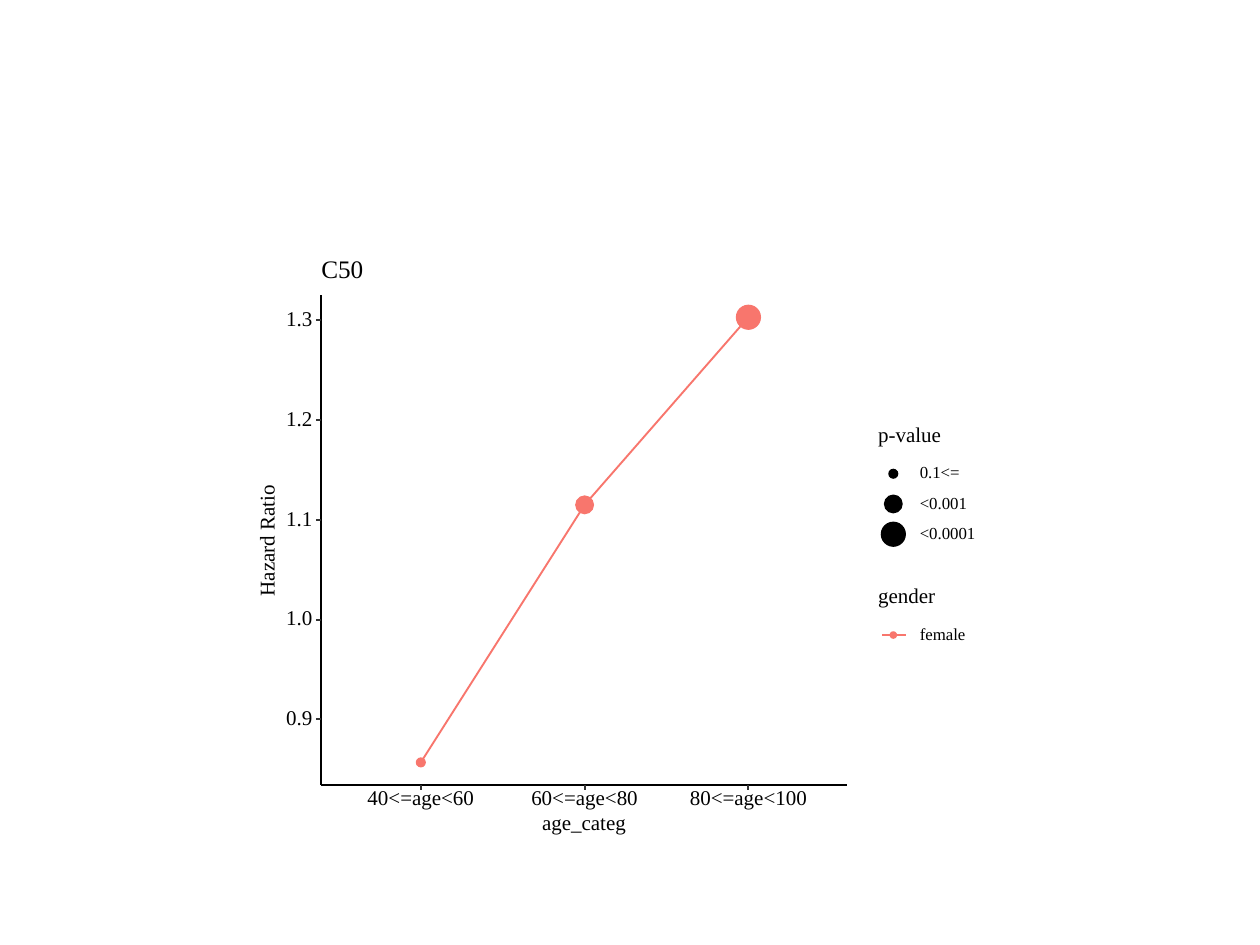
from lxml.etree import SubElement
from pptx import Presentation
from pptx.dml.color import RGBColor
from pptx.enum.shapes import MSO_CONNECTOR, MSO_SHAPE
from pptx.enum.text import MSO_ANCHOR, PP_ALIGN
from pptx.oxml.ns import qn
from pptx.util import Inches, Pt

FONT = "Times New Roman"
BLACK, WHITE, TICK, CORAL = "000000", "FFFFFF", "333333", "F8766D"
LEFT, RIGHT, TOP, BOTTOM = 2.55, 6.72, 2.34, 6.23  # plot area, in grid cells
FIRST_X, STEP_X = 3.34, 1.3
TICK_LEN = 0.04
# age category, label width, hazard ratio, dot size
POINTS = [
    ("40<=age<60", 0.87, 0.857, 0.07),
    ("60<=age<80", 0.87, 1.115, 0.14),
    ("80<=age<100", 0.95, 1.303, 0.19),
]
RATIOS = [0.9, 1.0, 1.1, 1.2, 1.3]
P_VALUES = [("0.1<=", 0.34), ("<0.001", 0.4), ("<0.0001", 0.47)]
KEY_X, KEY_LABEL_X, LEGEND_X = 7.09, 7.3, 6.97
KEY_Y, KEY_STEP = 3.76, 0.24
GENDER_Y = 5.04


def cells(n):
    """Length of n grid cells; the slide is 10 cells wide and 7.5 high."""
    return Inches(round(n, 3))


def rgb(value):
    return RGBColor.from_string(value)


def ratio_y(ratio):
    """Vertical place of a hazard ratio on the value axis."""
    return 5.71 - (ratio - 0.9) * 7.92


def add_text(s, text, x, cy, w, size=12, align=PP_ALIGN.LEFT, rotation=0):
    """Put one line of text with its left edge at x and its middle at cy."""
    h = 0.14
    sp = s.shapes.add_textbox(cells(x), cells(cy - h / 2), cells(w), cells(h))
    sp.rotation = rotation
    tf = sp.text_frame
    tf.word_wrap = False
    tf.vertical_anchor = MSO_ANCHOR.MIDDLE
    tf.margin_left = tf.margin_right = tf.margin_top = tf.margin_bottom = 0
    p = tf.paragraphs[0]
    p.alignment = align
    p.line_spacing = Pt(size)
    r = p.add_run()
    r.text = text
    r.font.name = FONT
    r.font.size = Pt(size)
    r.font.color.rgb = rgb(BLACK)


def add_line(s, x1, y1, x2, y2, color, width=1.07):
    sp = s.shapes.add_connector(
        MSO_CONNECTOR.STRAIGHT, cells(x1), cells(y1), cells(x2), cells(y2))
    sp.line.color.rgb = rgb(color)
    sp.line.width = Pt(width)
    SubElement(sp._element.spPr, qn("a:effectLst"))


def add_filled(s, kind, x, y, w, h, color, line_width=0):
    sp = s.shapes.add_shape(kind, cells(x), cells(y), cells(w), cells(h))
    sp.shadow.inherit = False
    sp.fill.solid()
    sp.fill.fore_color.rgb = rgb(color)
    if line_width:
        sp.line.color.rgb = rgb(color)
        sp.line.width = Pt(line_width)
    else:
        sp.line.fill.background()


def add_panel(s, x, y, w, h, line_width=0):
    add_filled(s, MSO_SHAPE.RECTANGLE, x, y, w, h, WHITE, line_width)


def add_dot(s, cx, cy, size, color):
    add_filled(s, MSO_SHAPE.OVAL, cx - size / 2, cy - size / 2,
               size, size, color, 0.71)


def add_series(s):
    places = [(FIRST_X + i * STEP_X, ratio_y(ratio))
              for i, (_, _, ratio, _) in enumerate(POINTS)]
    start, *rest = [(cells(x), cells(y)) for x, y in places]
    builder = s.shapes.build_freeform(*start)
    builder.add_line_segments(rest, close=False)
    sp = builder.convert_to_shape()
    sp.shadow.inherit = False
    sp.fill.background()
    sp.line.color.rgb = rgb(CORAL)
    sp.line.width = Pt(1.07)
    for (x, y), (*_, size) in zip(places, POINTS):
        add_dot(s, x, y, size, CORAL)


def add_value_axis(s):
    add_line(s, LEFT, BOTTOM, LEFT, TOP, BLACK)
    for ratio in RATIOS:
        y = ratio_y(ratio)
        add_text(s, f"{ratio:.1f}", 2.25, y, 0.23, align=PP_ALIGN.RIGHT)
        add_line(s, LEFT - TICK_LEN, y, LEFT, y, TICK, 1.16)
    add_text(s, "Hazard Ratio", 1.65, 4.29, 0.96,
             align=PP_ALIGN.CENTER, rotation=270)


def add_category_axis(s):
    add_line(s, LEFT, BOTTOM, RIGHT, BOTTOM, BLACK)
    for i, (label, w, _, _) in enumerate(POINTS):
        x = FIRST_X + i * STEP_X
        add_line(s, x, BOTTOM + TICK_LEN, x, BOTTOM, TICK, 1.16)
        add_text(s, label, x - w / 2, 6.34, w, align=PP_ALIGN.CENTER)
    w = 0.69
    add_text(s, "age_categ", (LEFT + RIGHT - w) / 2, 6.54, w,
             align=PP_ALIGN.CENTER)


def add_p_value_legend(s):
    add_panel(s, 6.89, 3.33, 0.93, 1.12)
    add_text(s, "p-value", LEGEND_X, 3.46, 0.52)
    for i, ((label, w), (*_, size)) in enumerate(zip(P_VALUES, POINTS)):
        y = KEY_Y + i * KEY_STEP
        add_dot(s, KEY_X, y, size, BLACK)
        add_text(s, label, KEY_LABEL_X, y, w, size=9.6)


def add_gender_legend(s):
    add_panel(s, 6.89, 4.61, 0.85, 0.64)
    add_text(s, "gender", LEGEND_X, 4.74, 0.49)
    add_line(s, KEY_X - 0.09, GENDER_Y, KEY_X + 0.1, GENDER_Y, CORAL)
    add_dot(s, KEY_X, GENDER_Y, 0.05, CORAL)
    add_text(s, "female", KEY_LABEL_X, GENDER_Y, 0.4, size=9.6)


def main():
    prs = Presentation()
    prs.slide_width, prs.slide_height = cells(10), cells(7.5)
    s = prs.slides.add_slide(prs.slide_layouts[6])
    add_panel(s, 2, 2, 5.91, 4.72, 1.16)
    add_panel(s, LEFT, TOP, RIGHT - LEFT, BOTTOM - TOP)
    add_series(s)
    add_value_axis(s)
    add_category_axis(s)
    add_p_value_legend(s)
    add_gender_legend(s)
    add_text(s, "C50", LEFT, 2.15, 0.37, size=14.4)
    prs.save("out.pptx")


if __name__ == "__main__":
    main()
